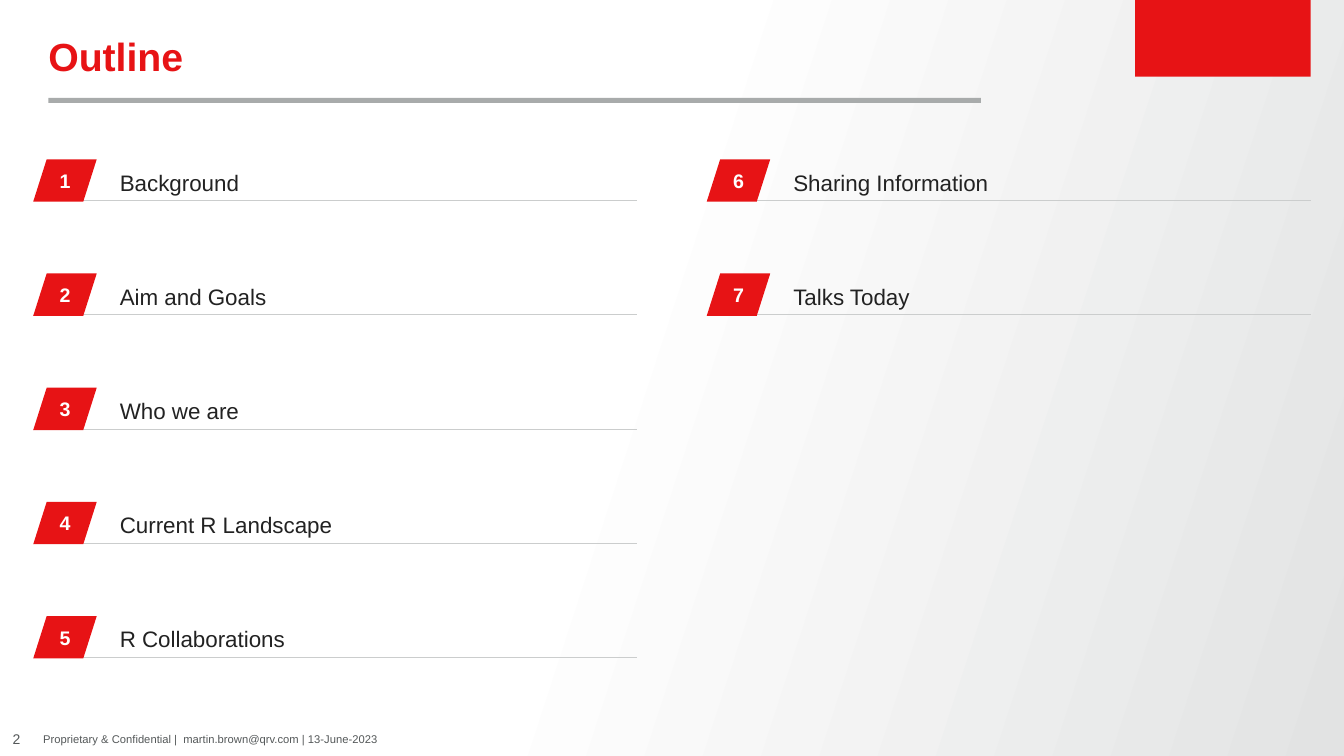
"""Build the outline slide with seven numbered topics in two columns."""
from copy import deepcopy
from dataclasses import dataclass

from pptx import Presentation
from pptx.dml.color import RGBColor
from pptx.enum.shapes import MSO_CONNECTOR, MSO_SHAPE
from pptx.enum.text import MSO_ANCHOR, PP_ALIGN
from pptx.oxml.ns import qn
from pptx.util import Inches, Pt

STRAIGHT = MSO_CONNECTOR.STRAIGHT
RECTANGLE = MSO_SHAPE.RECTANGLE
PARALLELOGRAM = MSO_SHAPE.PARALLELOGRAM
TOP, MIDDLE, BOTTOM = MSO_ANCHOR.TOP, MSO_ANCHOR.MIDDLE, MSO_ANCHOR.BOTTOM
LEFT, CENTER = PP_ALIGN.LEFT, PP_ALIGN.CENTER


@dataclass(frozen=True)
class Theme:
    font: str = "Arial"
    red: str = "E71315"
    bar: str = "A8ABAB"
    rule: str = "CBCDCD"
    ink: str = "222222"
    muted: str = "545859"
    white: str = "FFFFFF"
    shade: str = "E2E3E3"
    title_size: int = 28
    topic_size: int = 16
    badge_size: int = 14
    page_size: int = 10
    footer_size: int = 8


theme = Theme()


def add_block(shape_type, left, top, width, height, color):
    block = slide.shapes.add_shape(
        shape_type, Inches(left), Inches(top), Inches(width), Inches(height))
    block.shadow.inherit = False
    block.fill.solid()
    block.fill.fore_color.rgb = RGBColor.from_string(color)
    block.line.fill.background()
    return block


def write(shape, text, size, color, bold=False, anchor=MIDDLE, align=LEFT, inset=True):
    frame = shape.text_frame
    frame.word_wrap = True
    frame.vertical_anchor = anchor
    if not inset:
        frame.margin_left = frame.margin_right = Inches(0)
        frame.margin_top = frame.margin_bottom = Inches(0)
    paragraph = frame.paragraphs[0]
    paragraph.alignment = align
    run = paragraph.add_run()
    run.text = text
    run.font.name = theme.font
    run.font.size = Pt(size)
    run.font.bold = bold
    run.font.color.rgb = RGBColor.from_string(color)
    return paragraph


prs = Presentation()
prs.slide_width = Inches(13.33)
prs.slide_height = Inches(7.5)
slide = prs.slides.add_slide(prs.slide_layouts[6])

backdrop = slide.background.fill
backdrop.gradient()
backdrop.gradient_angle = 342
stop_list = slide.element.find(".//" + qn("a:gsLst"))
stop_list.insert(1, deepcopy(stop_list[0]))
backdrop_stops = [(0, theme.white), (0.45, theme.white), (1, theme.shade)]
for stop, (position, color) in zip(backdrop.gradient_stops, backdrop_stops):
    stop.position = position
    stop.color.rgb = RGBColor.from_string(color)

add_block(RECTANGLE, 11.26, 0, 1.74, 0.76, theme.red)

page_number = slide.shapes.add_textbox(Inches(0), Inches(7.17), Inches(0.33), Inches(0.33))
write(page_number, "2", theme.page_size, theme.muted, align=CENTER, inset=False)
footer = slide.shapes.add_textbox(Inches(0.33), Inches(7.17), Inches(8.33), Inches(0.33))
write(footer, "Proprietary & Confidential |  martin.brown@qrv.com | 13-June-2023",
      theme.footer_size, theme.muted)

title = slide.shapes.add_textbox(Inches(0.48), Inches(0.37), Inches(12), Inches(0.5))
heading = write(title, "Outline", theme.title_size, theme.red, bold=True, anchor=TOP, inset=False)
heading.line_spacing = 0.9
add_block(RECTANGLE, 0.48, 0.97, 9.25, 0.05, theme.bar)

topics = ["Background", "Aim and Goals", "Who we are", "Current R Landscape",
          "R Collaborations", "Sharing Information", "Talks Today"]
rows_per_column = 5
column_lefts = [0.33, 7.01]
first_top, row_pitch = 1.58, 1.133

for index, topic in enumerate(topics):
    column, row = divmod(index, rows_per_column)
    left = column_lefts[column]
    top = first_top + row * row_pitch
    rule_y = top + 0.41

    rule = slide.shapes.add_connector(
        STRAIGHT, Inches(left + 0.49), Inches(rule_y), Inches(left + 5.99), Inches(rule_y))
    rule.line.color.rgb = RGBColor.from_string(theme.rule)
    rule.line.width = Pt(0.5)
    rule.element.spPr.append(rule.element.makeelement(qn("a:effectLst"), {}))

    badge = add_block(PARALLELOGRAM, left, top, 0.63, 0.42, theme.red)
    badge.adjustments[0] = 0.318
    write(badge, str(index + 1), theme.badge_size, theme.white, bold=True,
          align=CENTER, inset=False)

    label = slide.shapes.add_textbox(
        Inches(left + 0.76), Inches(rule_y - 0.6), Inches(5.23), Inches(0.6))
    write(label, topic, theme.topic_size, theme.ink, anchor=BOTTOM)

prs.save("out.pptx")
